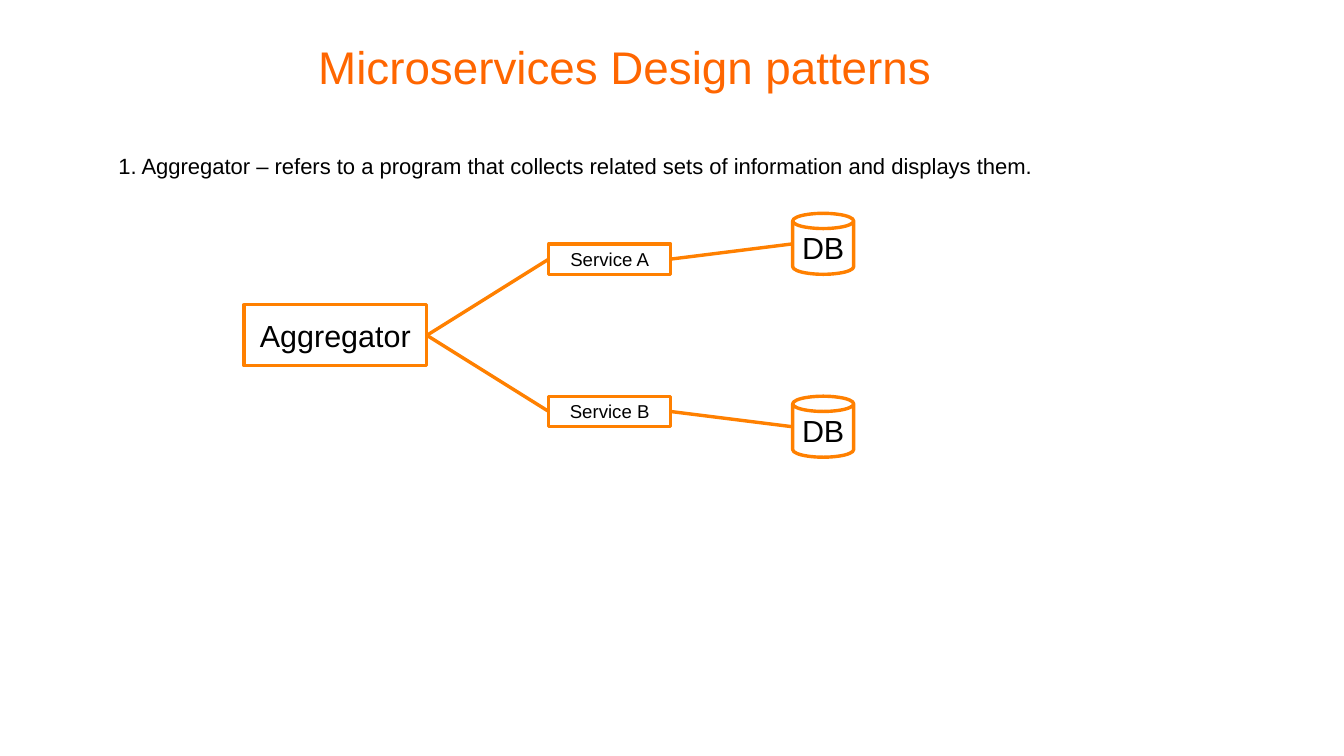
from pptx import Presentation
from pptx.dml.color import RGBColor
from pptx.enum.shapes import MSO_CONNECTOR, MSO_SHAPE
from pptx.enum.text import MSO_ANCHOR, PP_ALIGN
from pptx.util import Inches, Pt
from lxml import etree

ORANGE, WHITE, BLACK = "FF8000", "FFFFFF", "000000"
LEFT, RIGHT = 1, 3
A = "http://schemas.openxmlformats.org/drawingml/2006/main"


def color(value):
    return RGBColor.from_string(value)


def write(sp, text, size, hex_color=BLACK, align=PP_ALIGN.CENTER,
          anchor=MSO_ANCHOR.MIDDLE, wrap=False, inset=(0.1, 0.05)):
    tf = sp.text_frame
    x, y = (Inches(v) for v in inset)
    frame = {"margin_left": x, "margin_right": x, "margin_top": y,
             "margin_bottom": y, "vertical_anchor": anchor, "word_wrap": wrap}
    for name, value in frame.items():
        setattr(tf, name, value)
    p = tf.paragraphs[0]
    p.alignment = align
    r = p.add_run()
    r.text = text
    for name, value in {"name": "Arial", "size": Pt(size), "bold": False}.items():
        setattr(r.font, name, value)
    r.font.color.rgb = color(hex_color)


def outline(sp):
    sp.line.color.rgb = color(ORANGE)
    sp.line.width = Pt(2)


def add_node(s, kind, box, text, size):
    sp = s.shapes.add_shape(kind, *(Inches(v) for v in box))
    sp.shadow.inherit = False
    sp.fill.solid()
    sp.fill.fore_color.rgb = color(WHITE)
    outline(sp)
    write(sp, text, size)
    return sp


def add_link(s, start, end):
    y1, y2 = (sp.top + sp.height // 2 for sp in (start, end))
    line = s.shapes.add_connector(
        MSO_CONNECTOR.STRAIGHT, start.left + start.width, y1, end.left, y2)
    line.begin_connect(start, RIGHT)
    if end.auto_shape_type == MSO_SHAPE.RECTANGLE:
        line.end_connect(end, LEFT)
    outline(line)
    etree.SubElement(line._element.spPr, f"{{{A}}}effectLst")


def add_heading(s, box):
    title = s.shapes.title
    for name, value in zip(("left", "top", "width", "height"), box):
        setattr(title, name, Inches(value))
    write(title, "Microservices Design patterns", 27, "FF6600",
          wrap=True, inset=(0, 0))


def add_description(s, box):
    sp = s.shapes.add_textbox(*(Inches(v) for v in box))
    write(sp, "1. Aggregator – refers to a program that collects related sets of "
          "information and displays them.", 13, align=PP_ALIGN.LEFT,
          anchor=MSO_ANCHOR.TOP, wrap=True, inset=(0, 0))


def add_diagram(s, x, y):
    aggregator = add_node(s, MSO_SHAPE.RECTANGLE, (x, y + 0.75, 1.5, 0.5),
                          "Aggregator", 18)
    for name, service_y, db_y in (("Service A", 0.25, 0), ("Service B", 1.5, 1.5)):
        service = add_node(s, MSO_SHAPE.RECTANGLE,
                           (x + 2.5, y + service_y, 1, 0.25), name, 11)
        db = add_node(s, MSO_SHAPE.CAN, (x + 4.5, y + db_y, 0.5, 0.5), "DB", 18)
        add_link(s, aggregator, service)
        add_link(s, service, db)


def main():
    prs = Presentation()
    prs.slide_width, prs.slide_height = Inches(11.02), Inches(6.2)
    s = prs.slides.add_slide(prs.slide_layouts[5])
    add_heading(s, (0.59, 0.2, 9.06, 0.69))
    add_description(s, (0.97, 1.25, 9.69, 0.25))
    add_diagram(s, 2, 1.75)
    prs.save("out.pptx")


if __name__ == "__main__":
    main()
